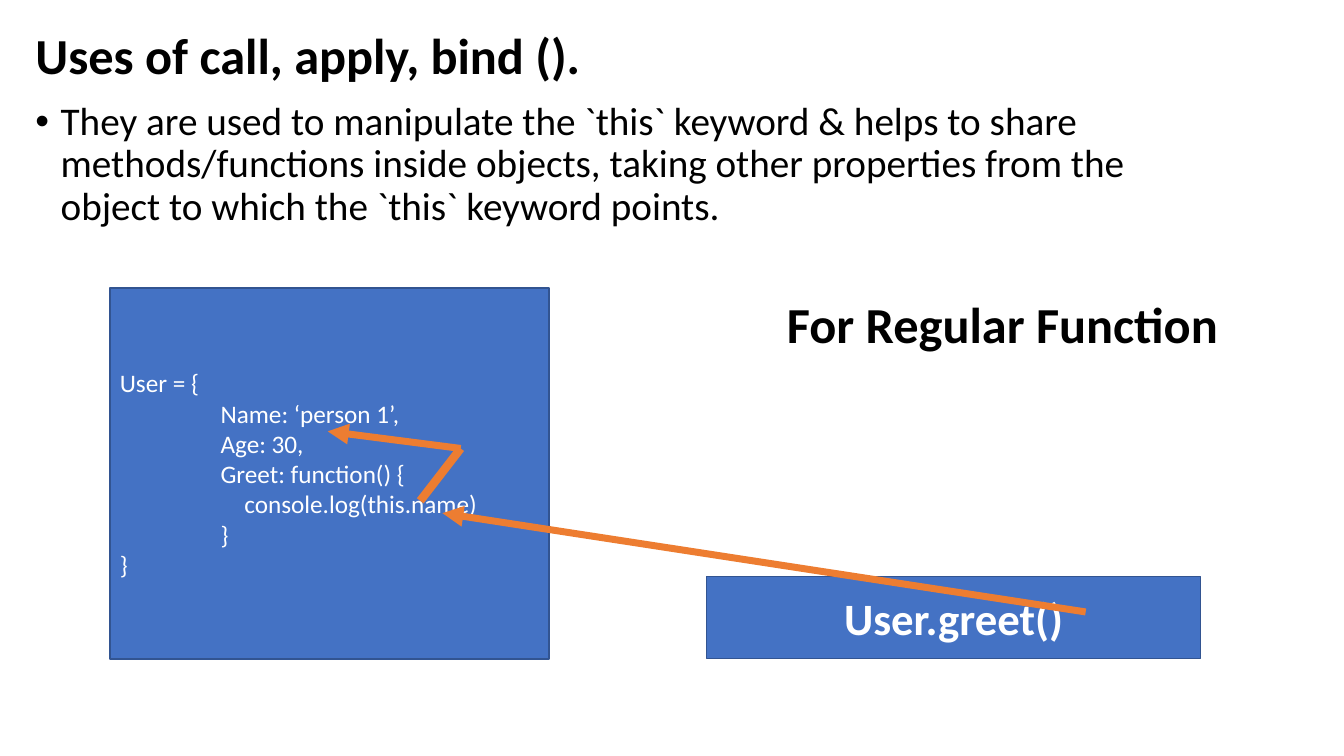
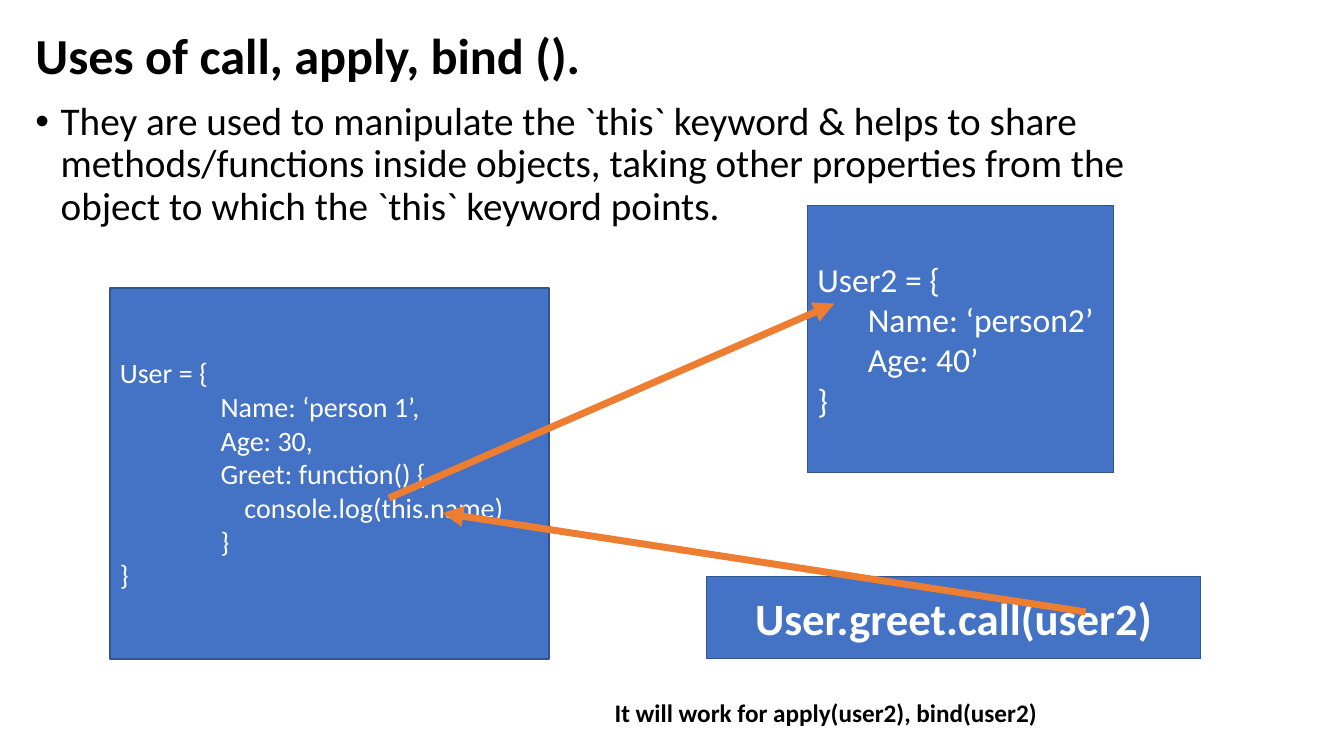
from lxml import etree
from pptx import Presentation
from pptx.dml.color import RGBColor
from pptx.enum.shapes import MSO_CONNECTOR as Connector, MSO_SHAPE as Shape
from pptx.enum.text import MSO_ANCHOR as Anchor, PP_ALIGN as Align
from pptx.oxml.ns import qn
from pptx.util import Cm, Pt

# Content: lengths in cm, code lines as (indent, text)
FONT = "Calibri"
BLACK, WHITE, BLUE, NAVY, ORANGE = "000000", "FFFFFF", "4472C4", "325491", "ED7D31"
TITLE = "Uses of call, apply, bind ()."
INTRO = ("They are used to manipulate the `this` keyword & helps to share "
         "methods/functions inside objects, taking other properties from the "
         "object to which the `this` keyword points.")
USER = [(0, "User = {"), (2.54, "Name: ‘person 1’,"), (2.54, "Age: 30,"),
        (2.54, "Greet: function() {"), (3.14, "console.log(this.name)"),
        (2.54, "}"), (0, "}")]
USER2 = [(0, "User2 = {"), (1.27, "Name: ‘person2’"), (1.27, "Age: 40’"), (0, "}")]

TITLE_BOX = (0.64, 0.48, 29.21, 1.98)
INTRO_BOX = (0.64, 2.44, 29.21, 12.09)
USER_BOX = (2.77, 7.26, 11.07, 9.35)
USER2_BOX = (20.35, 5.18, 7.72, 6.73)
CALL_BOX = (17.81, 14.53, 12.45, 2.06)
CALL_ARROW = ((27.36, 15.42), (11.15, 12.93), 5, True)

# Arrows: start, end, width in points, arrowhead
SLIDES = [
    dict(code_size=18, call="User.greet()", objects=[],
         arrows=[((10.59, 12.62), (11.61, 11.3), 6, False),
                 ((11.61, 11.3), (8.26, 10.87), 5, True)],
         label=("For Regular Function", 36, (19.58, 7.26, 11.94, 1.8))),
    dict(code_size=20, call="User.greet.call(user2)", objects=[(USER2, 24, USER2_BOX)],
         arrows=[((9.8, 12.55), (21.03, 7.65), 5, True)],
         label=("It will work for apply(user2), bind(user2)", 18,
                (15.24, 17.45, 15.27, 1.02))),
]


def color(value):
    return RGBColor.from_string(value)


def style(paragraph, size, font_color, bold=False, align=Align.LEFT):
    font = paragraph.font
    font.name, font.size, font.bold = FONT, Pt(size), bold
    font.color.rgb = color(font_color)
    paragraph.alignment = align


def add_text(slide, text, size, box, bold=False):
    frame = slide.shapes.add_textbox(*map(Cm, box)).text_frame
    frame.word_wrap = True
    paragraph = frame.paragraphs[0]
    paragraph.text = text
    style(paragraph, size, BLACK, bold)
    return paragraph


def add_box(slide, lines, size, box, bold=False, align=Align.LEFT):
    shape = slide.shapes.add_shape(Shape.RECTANGLE, *map(Cm, box))
    shape.shadow.inherit = False
    shape.fill.solid()
    shape.fill.fore_color.rgb = color(BLUE)
    shape.line.color.rgb = color(NAVY)
    shape.line.width = Pt(1)
    frame = shape.text_frame
    frame.word_wrap = True
    frame.vertical_anchor = Anchor.MIDDLE
    frame.text = "\n".join(text for _, text in lines)
    for paragraph, (indent, _) in zip(frame.paragraphs, lines):
        style(paragraph, size, WHITE, bold, align)
        properties = paragraph._p.get_or_add_pPr()
        properties.set("marL", str(Cm(indent)))
        properties.set("indent", "0")


def add_arrow(slide, start, end, width, has_head):
    connector = slide.shapes.add_connector(Connector.STRAIGHT, *map(Cm, start + end))
    connector.line.color.rgb = color(ORANGE)
    connector.line.width = Pt(width)
    if has_head:
        line = connector.line._get_or_add_ln()
        etree.SubElement(line, qn("a:tailEnd"), type="triangle")
    etree.SubElement(connector._element.spPr, qn("a:effectLst"))


def add_header(slide):
    """Title and bulleted introduction shared by all slides."""
    title = slide.shapes.title
    title.left, title.top, title.width, title.height = map(Cm, TITLE_BOX)
    title.text_frame.text = TITLE
    title.text_frame.vertical_anchor = Anchor.MIDDLE
    heading = title.text_frame.paragraphs[0]
    style(heading, 36, BLACK, bold=True)
    heading.line_spacing = 0.9

    intro = add_text(slide, INTRO, 28, INTRO_BOX)
    intro.line_spacing = 0.9
    intro.space_before = Pt(10)
    properties = intro._p.get_or_add_pPr()
    properties.set("marL", str(Cm(0.64)))
    properties.set("indent", str(-Cm(0.64)))
    bullet_font = etree.Element(qn("a:buFont"), typeface="Arial")
    bullet = etree.Element(qn("a:buChar"), char="•")
    spacing = properties.find(qn("a:spcBef"))
    spacing.addnext(bullet_font)
    bullet_font.addnext(bullet)


presentation = Presentation()
presentation.slide_width, presentation.slide_height = Cm(33.87), Cm(19.05)
title_only = presentation.slide_layouts[5]

for content in SLIDES:
    slide = presentation.slides.add_slide(title_only)
    add_header(slide)
    # Code objects and the call
    for lines, size, box in [(USER, content["code_size"], USER_BOX), *content["objects"]]:
        add_box(slide, lines, size, box)
    add_box(slide, [(0, content["call"])], 32, CALL_BOX, True, Align.CENTER)
    # Arrows and label
    for arrow in [CALL_ARROW, *content["arrows"]]:
        add_arrow(slide, *arrow)
    add_text(slide, *content["label"], bold=True)

presentation.save("out.pptx")
